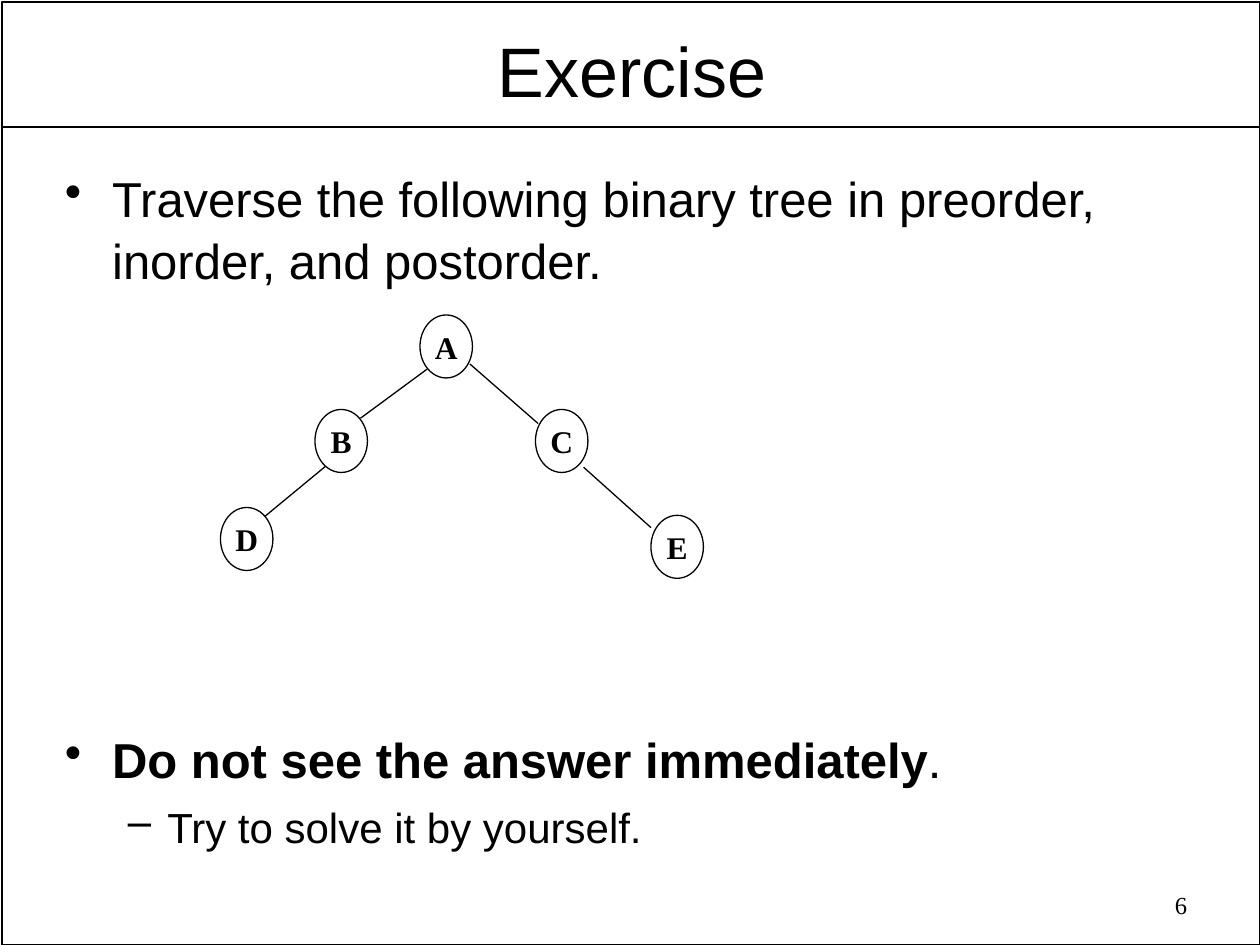
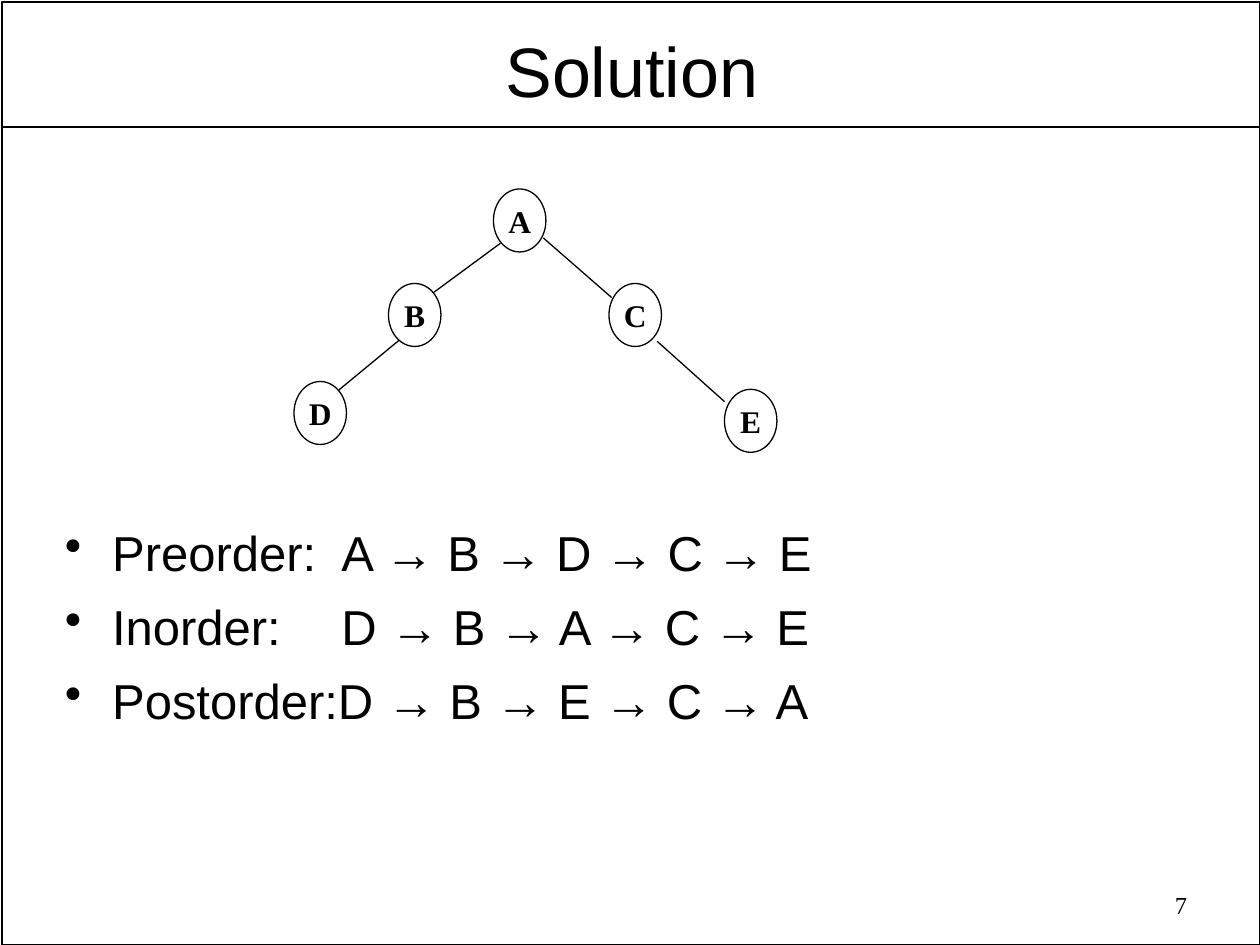
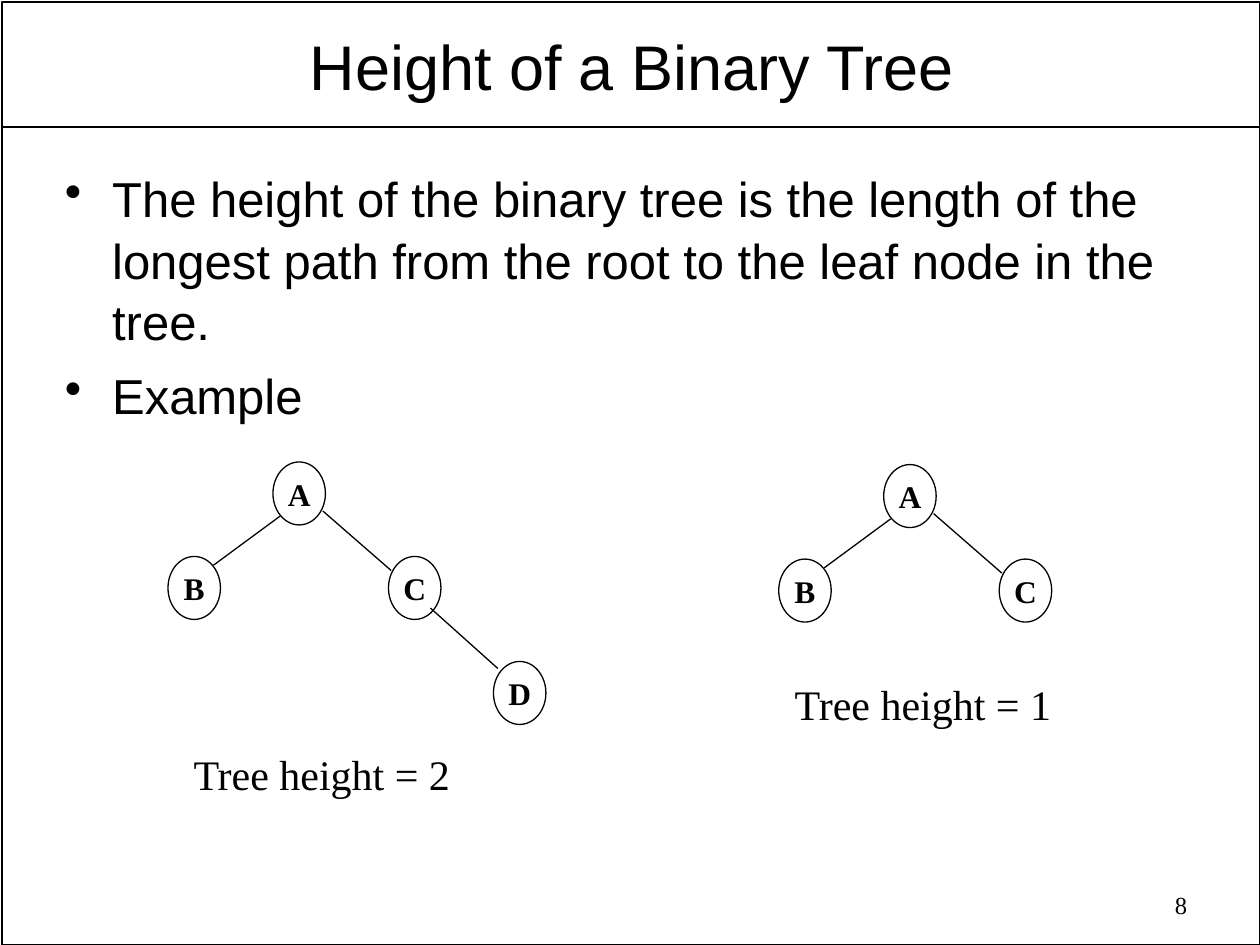
from lxml import etree
from pptx import Presentation
from pptx import util as u
from pptx.dml.color import RGBColor
from pptx.enum import shapes, text
from pptx.oxml import ns

BLACK = RGBColor(0, 0, 0)
SANS = "Arial"
SERIF = "Times New Roman"
NODE_WIDTH, NODE_HEIGHT = 30, 36
BODY_LEFT, BODY_WIDTH = 30, 660
ANSWER_TAB = 158
LEVELS = [
    {"bullet": "•", "size": 28, "space": 7, "margin": 27, "hanging": 27},
    {"bullet": "–", "size": 24, "space": 6, "margin": 58.5, "hanging": 22.5},
]

NODES = {"A": (0, 0), "B": (-60, 54), "C": (66, 54)}
EDGES = [(4, 31, -34, 59), (28.5, 28, 67.5, 62)]
FIVE_NODES = NODES | {"D": (-114, 110), "E": (132, 114.5)}
FIVE_EDGES = EDGES + [(-54, 86.5, -88.5, 115), (93.5, 87, 132, 121.5)]
FOUR_NODES = NODES | {"D": (126, 114)}
FOUR_EDGES = EDGES + [(90, 83.5, 128.5, 118)]

SLIDES = [
    {
        "title": "Exercise", "title_size": 40, "title_height": 52,
        "body_top": 91, "body_height": 395,
        "body": [
            (0, 0, [("Traverse the following binary tree in preorder, inorder, and postorder.", False)]),
            (0, 250, [("Do not see the answer immediately", True), (".", False)]),
            (1, 6, [("Try to solve it by yourself.", False)]),
        ],
        "trees": [(240, 180, FIVE_NODES, FIVE_EDGES)],
        "captions": [],
    },
    {
        "title": "Solution", "title_size": 40, "title_height": 52,
        "body_top": 293.5, "body_height": 163,
        "body": [
            (0, 0, [("Preorder:\tA → B → D → C → E", False)]),
            (0, 7, [("Inorder:\tD → B → A → C → E", False)]),
            (0, 7, [("Postorder:D → B → E → C → A", False)]),
        ],
        "trees": [(282, 108, FIVE_NODES, FIVE_EDGES)],
        "captions": [],
    },
    {
        "title": "Height of a Binary Tree", "title_size": 36, "title_height": 47.5,
        "body_top": 91, "body_height": 414,
        "body": [
            (0, 0, [("The height of the binary tree is the length of the longest path "
                     "from the root to the leaf node in the tree.", False)]),
            (0, 7, [("Example", False)]),
        ],
        "trees": [(156, 264, FOUR_NODES, FOUR_EDGES), (505, 265.5, NODES, EDGES)],
        "captions": [("Tree height = 2", 103.5, 424), ("Tree height = 1", 447, 384)],
    },
]


def style(paragraph, font_name, size, bold=None):
    paragraph.font.name = font_name
    paragraph.font.size = u.Pt(size)
    paragraph.font.bold = bold
    paragraph.font.color.rgb = BLACK


def add_line(target, points, width):
    line = target.add_connector(shapes.MSO_CONNECTOR.STRAIGHT, *[u.Pt(value) for value in points])
    line.line.color.rgb = BLACK
    line.line.width = u.Pt(width)
    etree.SubElement(line.element.spPr, ns.qn("a:effectLst"))
    return line


presentation = Presentation()
presentation.slide_width = u.Pt(720)
presentation.slide_height = u.Pt(540)
layout = presentation.slide_layouts[5]

for number, content in enumerate(SLIDES, start=6):
    slide = presentation.slides.add_slide(layout)

    if number == 6:
        frame = slide.shapes.add_shape(
            shapes.MSO_SHAPE.RECTANGLE, u.Pt(1), u.Pt(1), u.Pt(719), u.Pt(539))
        frame.shadow.inherit = False
        frame.fill.background()
        frame.line.color.rgb = BLACK
        frame.line.width = u.Pt(1)
        title_rule = add_line(slide.shapes, (1, 72.5, 719.5, 72.5), 1)
        for position, shape in enumerate((frame, title_rule), start=2):
            layout.shapes.element.insert(position, shape.element)

    title = slide.shapes.title
    title.left, title.top = u.Pt(38), u.Pt(13.5)
    title.width, title.height = u.Pt(646), u.Pt(content["title_height"])
    title_frame = title.text_frame
    title_frame.margin_left = title_frame.margin_right = u.Pt(5)
    title_frame.margin_top = title_frame.margin_bottom = u.Pt(2)
    title_frame.auto_size = text.MSO_AUTO_SIZE.SHAPE_TO_FIT_TEXT
    title_frame.text = content["title"]
    title_frame.paragraphs[0].alignment = text.PP_ALIGN.CENTER
    style(title_frame.paragraphs[0], SANS, content["title_size"])

    body = slide.shapes.add_textbox(
        u.Pt(BODY_LEFT), u.Pt(content["body_top"]), u.Pt(BODY_WIDTH), u.Pt(content["body_height"]))
    body.text_frame.word_wrap = True
    for index, (level, space_before, runs) in enumerate(content["body"]):
        paragraph = body.text_frame.paragraphs[0] if index == 0 else body.text_frame.add_paragraph()
        look = LEVELS[level]
        paragraph.level = level
        properties = paragraph._p.get_or_add_pPr()
        properties.set("marL", str(u.Pt(look["margin"])))
        properties.set("indent", str(-u.Pt(look["hanging"])))
        etree.SubElement(properties, ns.qn("a:buChar"), char=look["bullet"])
        if any("\t" in words for words, bold in runs):
            tabs = etree.SubElement(properties, ns.qn("a:tabLst"))
            etree.SubElement(tabs, ns.qn("a:tab"), pos=str(u.Pt(ANSWER_TAB)), algn="l")
        paragraph.line_spacing = 1.05
        paragraph.space_before = u.Pt(space_before)
        style(paragraph, SANS, look["size"])
        for words, bold in runs:
            run = paragraph.add_run()
            run.text = words
            run.font.bold = bold

    page_number = slide.shapes.add_textbox(u.Pt(517), u.Pt(505), u.Pt(168.5), u.Pt(26))
    page_number.text_frame.word_wrap = True
    page_number.text_frame.text = str(number)
    page_number.text_frame.paragraphs[0].alignment = text.PP_ALIGN.RIGHT
    style(page_number.text_frame.paragraphs[0], SERIF, 14)

    for root_left, root_top, nodes, edges in content["trees"]:
        tree = slide.shapes.add_group_shape()
        for name, (across, down) in nodes.items():
            node = tree.shapes.add_shape(
                shapes.MSO_SHAPE.OVAL, u.Pt(root_left + across), u.Pt(root_top + down),
                u.Pt(NODE_WIDTH), u.Pt(NODE_HEIGHT))
            node.shadow.inherit = False
            node.fill.background()
            node.line.color.rgb = BLACK
            node.line.width = u.Pt(0.75)
            label = node.text_frame
            label.margin_left = label.margin_right = label.margin_top = label.margin_bottom = 0
            label.word_wrap = False
            label.vertical_anchor = text.MSO_ANCHOR.MIDDLE
            label.text = name
            label.paragraphs[0].alignment = text.PP_ALIGN.CENTER
            style(label.paragraphs[0], SERIF, 18, bold=True)
        for x1, y1, x2, y2 in edges:
            add_line(tree.shapes, (root_left + x1, root_top + y1, root_left + x2, root_top + y2), 0.75)

    for words, left, top in content["captions"]:
        caption = slide.shapes.add_textbox(u.Pt(left), u.Pt(top), u.Pt(162), u.Pt(36))
        caption.text_frame.word_wrap = False
        caption.text_frame.auto_size = text.MSO_AUTO_SIZE.SHAPE_TO_FIT_TEXT
        caption.text_frame.text = words
        style(caption.text_frame.paragraphs[0], SERIF, 24)

presentation.save("out.pptx")
